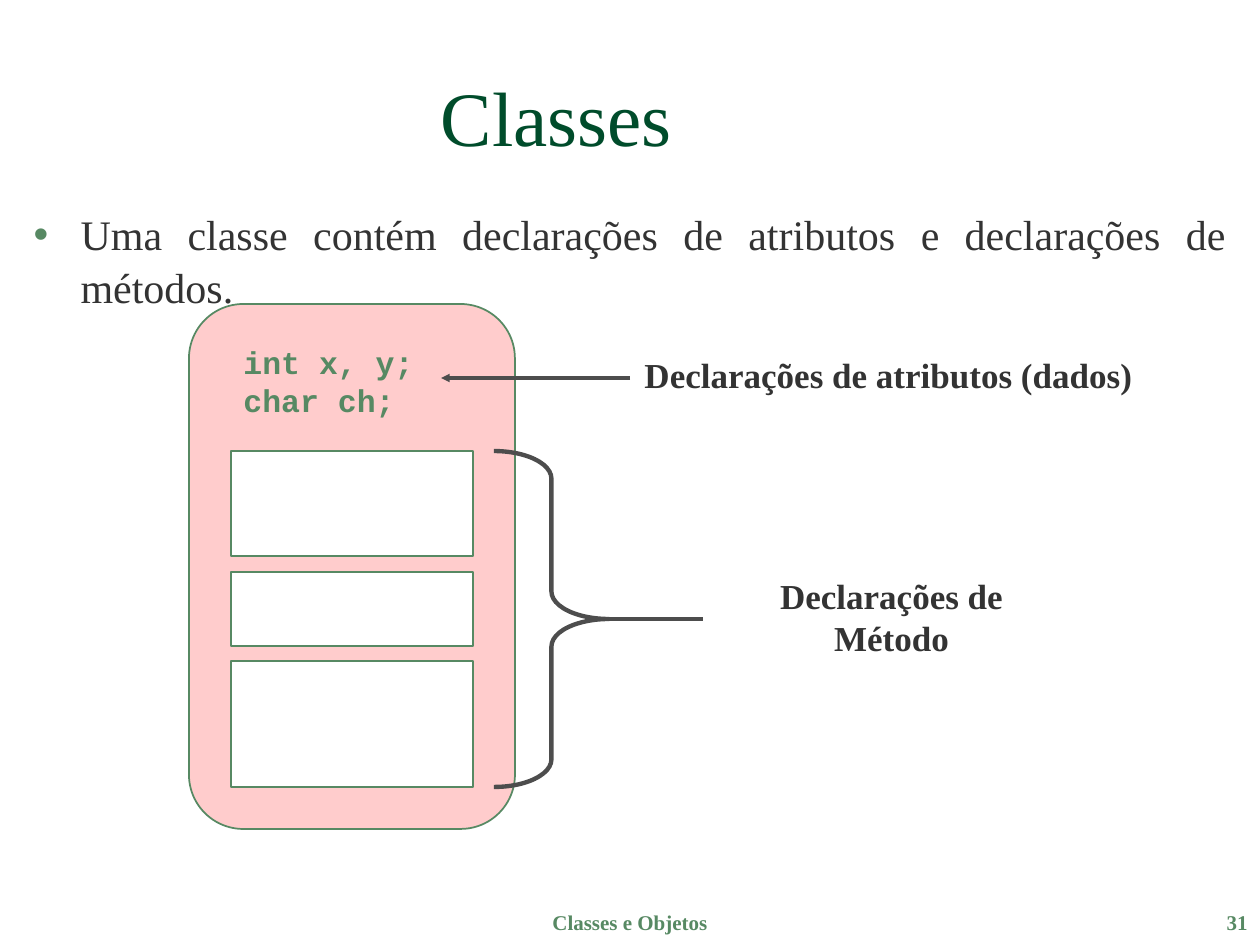
from dataclasses import dataclass
from typing import NamedTuple

from lxml import etree
from pptx import Presentation
from pptx.dml.color import RGBColor
from pptx.enum.shapes import MSO_CONNECTOR, MSO_SHAPE
from pptx.enum.text import MSO_ANCHOR, MSO_AUTO_SIZE, PP_ALIGN
from pptx.oxml.ns import qn
from pptx.util import Emu, Pt

LEFT, CENTER, RIGHT, JUSTIFY = (
    PP_ALIGN.LEFT, PP_ALIGN.CENTER, PP_ALIGN.RIGHT, PP_ALIGN.JUSTIFY)
TOP, MIDDLE, BOTTOM = MSO_ANCHOR.TOP, MSO_ANCHOR.MIDDLE, MSO_ANCHOR.BOTTOM
STRAIGHT = MSO_CONNECTOR.STRAIGHT
RECT = MSO_SHAPE.RECTANGLE
ROUNDED = MSO_SHAPE.FLOWCHART_ALTERNATE_PROCESS
BRACE = MSO_SHAPE.RIGHT_BRACE
FIT_SHAPE, NO_FIT = MSO_AUTO_SIZE.SHAPE_TO_FIT_TEXT, MSO_AUTO_SIZE.NONE

PX_PER_INCH = 126


@dataclass(frozen=True)
class Theme:
    title: str = "004C2B"
    ink: str = "333333"
    accent: str = "578963"
    class_fill: str = "FFCCCC"
    method_fill: str = "FFFFFF"
    pointer: str = "4D4D4D"
    serif: str = "Times New Roman"
    mono: str = "Courier New"
    title_size: int = 44
    body_size: int = 24
    label_size: int = 20
    code_size: int = 18
    footer_size: int = 12
    outline: float = 1
    pointer_width: float = 2.5


class Box(NamedTuple):
    x: int
    y: int
    w: int
    h: int


class Label(NamedTuple):
    text: str
    box: Box
    size: int
    color: str
    font: str
    align: PP_ALIGN
    anchor: MSO_ANCHOR
    wrap: bool


THEME = Theme()
METHODS = [Box(231, 451, 242, 105), Box(231, 572, 242, 74), Box(231, 661, 242, 126)]
LABELS = [
    Label("int x, y;\nchar ch;", Box(231, 337, 195, 88), THEME.code_size,
          THEME.accent, THEME.mono, LEFT, MIDDLE, False),
    Label("Declarações de atributos (dados)", Box(632, 347, 513, 55),
          THEME.label_size, THEME.ink, THEME.serif, CENTER, MIDDLE, False),
    Label("Declarações de Método", Box(706, 589, 371, 55),
          THEME.label_size, THEME.ink, THEME.serif, CENTER, MIDDLE, False),
    Label("Classes e Objetos", Box(430, 903, 400, 63), THEME.footer_size,
          THEME.accent, THEME.serif, CENTER, TOP, True),
    Label("31", Box(998, 903, 262, 63), THEME.footer_size,
          THEME.accent, THEME.serif, RIGHT, TOP, True),
]


def px(n: int) -> Emu:
    return Emu(round(n * 914400 / PX_PER_INCH))


def place(sp, box: Box) -> None:
    sp.left, sp.top, sp.width, sp.height = map(px, box)


def add_bullet(p, char: str, color: str, indent: int) -> None:
    pPr = p._p.get_or_add_pPr()
    pPr.set("marL", str(px(indent)))
    pPr.set("indent", str(-px(indent)))
    bullet_color = etree.SubElement(pPr, qn("a:buClr"))
    etree.SubElement(bullet_color, qn("a:srgbClr")).set("val", color)
    etree.SubElement(pPr, qn("a:buChar")).set("char", char)


def write(tf, text: str, *, size: int, color: str, font: str = THEME.serif,
          bold: bool = False, align=LEFT, anchor=TOP, wrap: bool = True,
          bullet: str = "", spacing: float = 1.0) -> None:
    tf.text = text
    tf.word_wrap = wrap
    tf.auto_size = NO_FIT if wrap else FIT_SHAPE
    tf.vertical_anchor = anchor
    for p in tf.paragraphs:
        if bullet:
            add_bullet(p, bullet, THEME.accent, 47)
        p.alignment = align
        p.space_before = Pt(0)
        p.line_spacing = spacing
        for r in p.runs:
            r.font.name = font
            r.font.size = Pt(size)
            r.font.bold = bold
            r.font.color.rgb = RGBColor.from_string(color)


def add_shape(slide, kind, box: Box, *, fill: str = "",
              line: str = THEME.accent, width: float = THEME.outline):
    sp = slide.shapes.add_shape(kind, *map(px, box))
    sp.shadow.inherit = False
    if fill:
        sp.fill.solid()
        sp.fill.fore_color.rgb = RGBColor.from_string(fill)
    else:
        sp.fill.background()
    sp.line.color.rgb = RGBColor.from_string(line)
    sp.line.width = Pt(width)
    return sp


def add_pointer(slide, x1: int, x2: int, y: int, *, arrow: bool = False) -> None:
    """Draw a level line from x1 to x2, with an optional arrowhead at x2."""
    line = slide.shapes.add_connector(STRAIGHT, px(x1), px(y), px(x2), px(y))
    line.line.color.rgb = RGBColor.from_string(THEME.pointer)
    line.line.width = Pt(THEME.pointer_width)
    if arrow:
        head = etree.SubElement(line.line._get_or_add_ln(), qn("a:tailEnd"))
        for key, value in (("type", "triangle"), ("w", "sm"), ("len", "sm")):
            head.set(key, value)
    etree.SubElement(line._element.spPr, qn("a:effectLst"))


def add_label(slide, label: Label) -> None:
    sp = slide.shapes.add_textbox(*map(px, label.box))
    write(sp.text_frame, label.text, size=label.size, color=label.color,
          font=label.font, bold=True, align=label.align, anchor=label.anchor,
          wrap=label.wrap)


def main() -> None:
    prs = Presentation()
    prs.slide_width, prs.slide_height = px(1260), px(945)
    slide = prs.slides.add_slide(prs.slide_layouts[1])

    title, body = slide.shapes.title, slide.placeholders[1]
    place(title, Box(21, 10, 1071, 158))
    write(title.text_frame, "Classes", size=THEME.title_size,
          color=THEME.title, align=CENTER, anchor=BOTTOM)
    place(body, Box(21, 200, 1218, 661))
    write(body.text_frame,
          "Uma classe contém declarações de atributos e declarações de métodos.",
          size=THEME.body_size, color=THEME.ink, align=JUSTIFY,
          bullet="•", spacing=1.05)

    add_shape(slide, ROUNDED, Box(189, 304, 326, 525), fill=THEME.class_fill)
    for box in METHODS:
        add_shape(slide, RECT, box, fill=THEME.method_fill)

    top, bottom = METHODS[0].y, METHODS[-1].y + METHODS[-1].h
    brace = add_shape(slide, BRACE, Box(494, top, 115, bottom - top),
                      line=THEME.pointer, width=THEME.pointer_width)
    brace.adjustments[0] = 0.24
    add_pointer(slide, 703, 609, (top + bottom) // 2)
    add_pointer(slide, 630, 441, 378, arrow=True)

    for label in LABELS:
        add_label(slide, label)
    prs.save("out.pptx")


if __name__ == "__main__":
    main()
